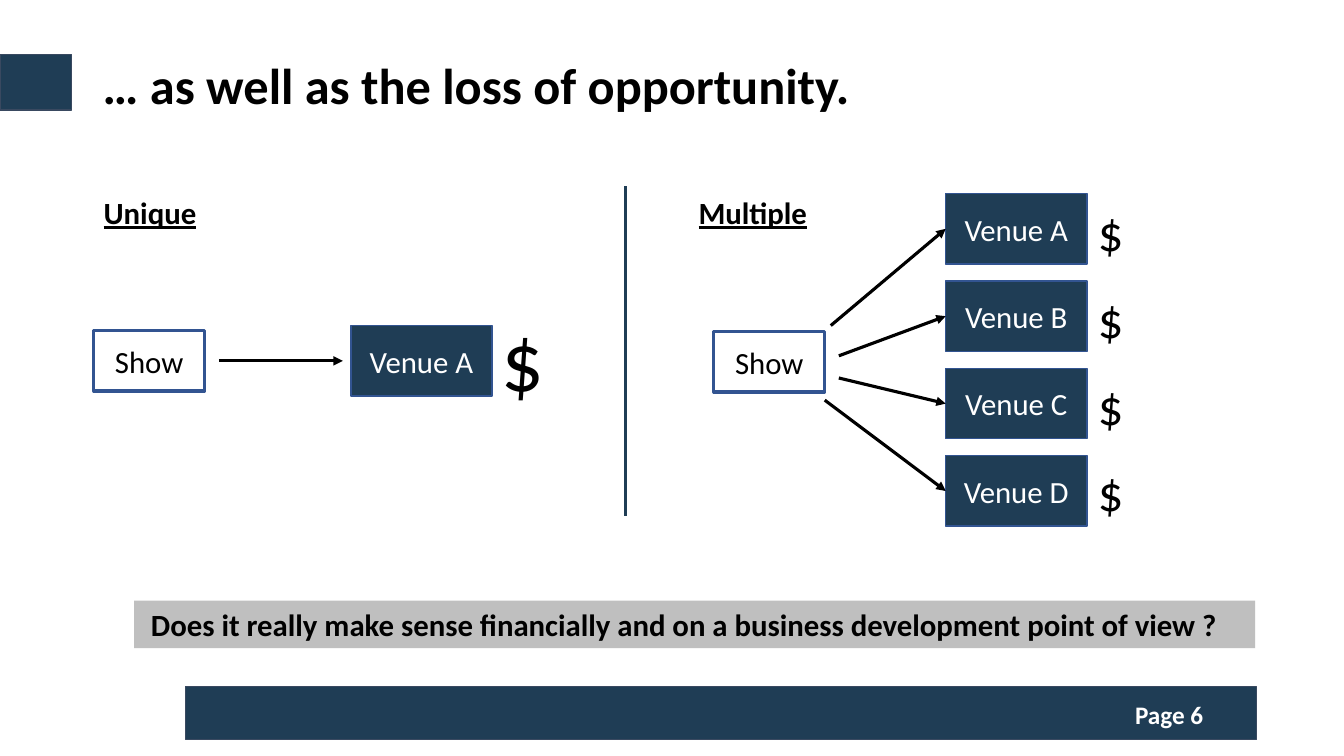
from lxml.etree import SubElement
from pptx import Presentation
from pptx.dml.color import RGBColor as Rgb
from pptx.enum.shapes import MSO_CONNECTOR as Link, MSO_SHAPE as Form
from pptx.enum.text import MSO_ANCHOR as Anchor, PP_ALIGN as Align
from pptx.oxml.ns import qn
from pptx.util import Inches, Pt

COLORS = {"navy": "1F3D55", "blue": "325491", "slate": "394960",
          "gray": "BFBFBF", "white": "FFFFFF", "black": "000000"}
CELL = 0.1


def tone(name):
    """Turn a colour name into an RGB value."""
    return Rgb.from_string(COLORS[name])


def grid(*cells):
    """Turn grid columns and rows into lengths."""
    return [Inches(cell * CELL) for cell in cells]


class Deck:
    """Hold the style and the current slide."""

    def __init__(self, font, wide, high):
        """Open a deck with one blank slide."""
        self.font = font
        self.show = Presentation()
        self.show.slide_width, self.show.slide_height = grid(wide, high)
        self.slide = self.show.slides.add_slide(self.show.slide_layouts[6])

    def letter(self, shape, text, size, color, bold=False, under=False,
               align=Align.LEFT, anchor=Anchor.TOP):
        """Put one run of text in a shape."""
        frame = shape.text_frame
        frame.word_wrap = True
        frame.vertical_anchor = anchor
        para = frame.paragraphs[0]
        para.alignment = align
        run = para.add_run()
        run.text = text
        font = run.font
        font.name, font.size = self.font, Pt(size)
        font.bold, font.underline = bold, under
        font.color.rgb = tone(color)

    def label(self, place, text, size, color="black", **style):
        """Add a text box."""
        box = self.slide.shapes.add_textbox(*grid(*place))
        self.letter(box, text, size, color, **style)

    def block(self, place, fill, edge=None, width=1):
        """Add a filled rectangle."""
        shape = self.slide.shapes.add_shape(Form.RECTANGLE, *grid(*place))
        shape.shadow.inherit = False
        shape.fill.solid()
        shape.fill.fore_color.rgb = tone(fill)
        if edge:
            shape.line.color.rgb = tone(edge)
            shape.line.width = Pt(width)
        else:
            shape.line.fill.background()
        return shape

    def node(self, place, text, fill, color, width):
        """Add a rectangle with a centred name."""
        shape = self.block(place, fill, "blue", width)
        self.letter(shape, text, 22, color, align=Align.CENTER,
                    anchor=Anchor.MIDDLE)
        return shape

    def stage(self, left, top):
        """Add a show box."""
        return self.node((left, top, 11, 6), "Show", "white", "black", 2.25)

    def venue(self, left, top, name):
        """Add a venue box."""
        return self.node((left, top, 14, 7), f"Venue {name}", "navy", "white", 1)

    def line(self, start, end, color):
        """Add a straight line."""
        line = self.slide.shapes.add_connector(
            Link.STRAIGHT, *grid(*start, *end))
        line.line.color.rgb = tone(color)
        line.line.width = Pt(2.25)
        SubElement(line._element.spPr, qn("a:effectLst"))
        return line

    def arrow(self, start, end, goal=None):
        """Add an arrow, joined to the left side of a goal if given."""
        line = self.line(start, end, "black")
        stroke = line._element.spPr.find(qn("a:ln"))
        SubElement(stroke, qn("a:tailEnd"), type="triangle")
        if goal is not None:
            line.end_connect(goal, 1)


def main():
    """Build the slide."""
    deck = Deck("Calibri", 133.3, 75)
    deck.block((0, 5.4, 7.1, 5.5), "navy", "slate")
    deck.block((18.4, 68.1, 106.2, 5.3), "navy", "slate", 0.75)
    deck.label((107.7, 68.9, 16.5, 4), "Page 6", 18, "white", bold=True,
               align=Align.CENTER)
    deck.label((9.2, 4.9, 119.5, 7.1), "… as well as the loss of opportunity.",
               36, bold=True)

    for left, head in ((9.3, "Unique"), (68.3, "Multiple")):
        deck.label((left, 18.7, 22.1, 4.7), head, 22, bold=True, under=True)
    deck.line((62, 18.5), (62, 51.2), "navy")

    deck.stage(9.3, 32.8)
    deck.venue(34.8, 32.3, "A")
    deck.arrow((21.7, 35.8), (34, 35.8))
    deck.label((48.8, 30, 5.8, 11.1), "$", 60)

    deck.stage(70.8, 32.9)
    starts = (82.4, 32.3), (83.2, 35.3), (83.2, 37.5), (81.8, 39.7)
    for row, (name, start) in enumerate(zip("ABCD", starts)):
        top = 19.2 + 8.67 * row
        goal = deck.venue(93.8, top, name)
        deck.arrow(start, (93.8, top + 3.5), goal)
        deck.label((107.9, 19.5 + 8.6 * row, 5.8, 7.1), "$", 36)

    banner = deck.block((13.3, 59.6, 111.2, 4.7), "gray")
    deck.letter(banner, " Does it really make sense financially and on a "
                "business development point of view ?", 22, "black", bold=True)
    deck.show.save("out.pptx")


if __name__ == "__main__":
    main()
